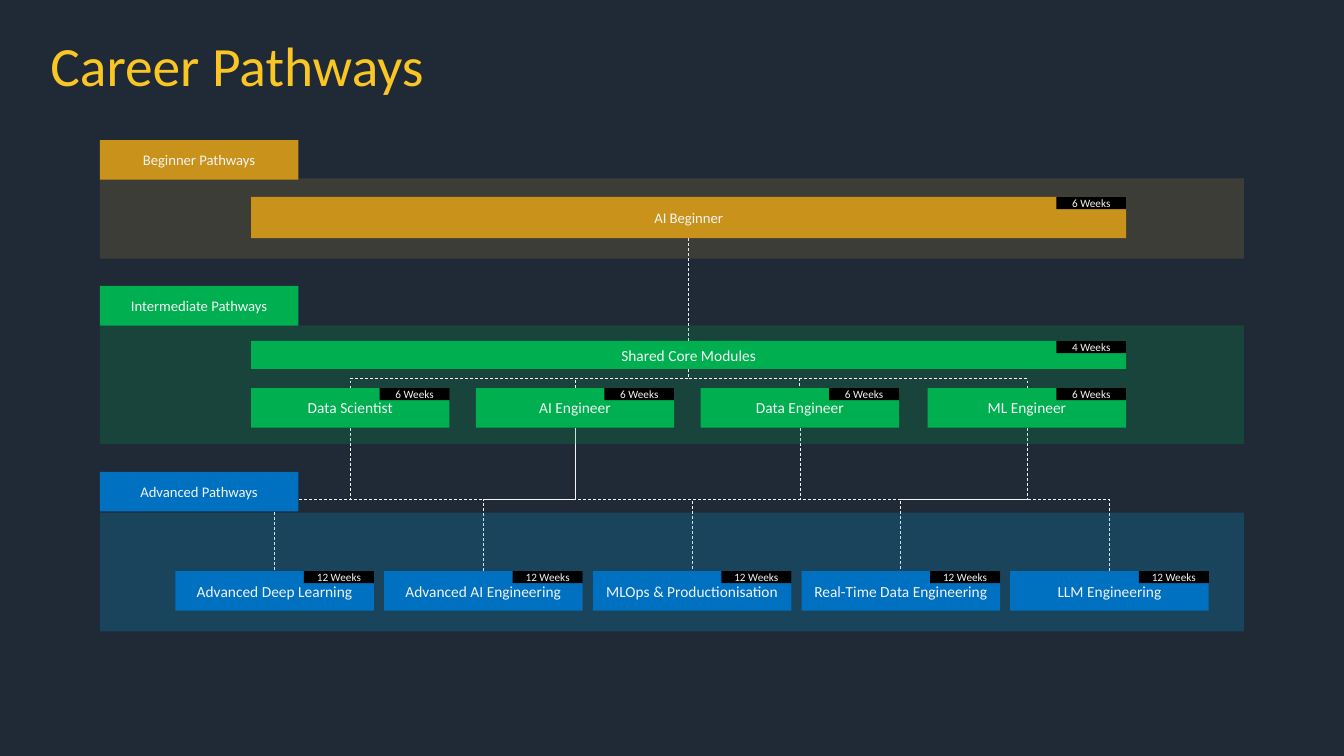
from dataclasses import dataclass

from lxml import etree
from pptx import Presentation
from pptx.dml.color import RGBColor
from pptx.enum.dml import MSO_LINE
from pptx.enum.shapes import MSO_CONNECTOR, MSO_SHAPE
from pptx.enum.text import MSO_ANCHOR, MSO_AUTO_SIZE, PP_ALIGN
from pptx.oxml.ns import qn
from pptx.shapes.autoshape import Shape
from pptx.shapes.connector import Connector
from pptx.util import Emu, Inches, Pt

RECT = MSO_SHAPE.RECTANGLE
STRAIGHT, ELBOW = MSO_CONNECTOR.STRAIGHT, MSO_CONNECTOR.ELBOW
DASH = MSO_LINE.DASH
LEFT, CENTER = PP_ALIGN.LEFT, PP_ALIGN.CENTER
MIDDLE, NO_FIT = MSO_ANCHOR.MIDDLE, MSO_AUTO_SIZE.NONE
TOP, BOTTOM = 0, 2  # connection sites of a rectangle


@dataclass(frozen=True)
class Theme:
    font: str = "Calibri"
    background: str = "202936"
    title: str = "F9C623"
    text: str = "F3F4F5"
    badge: str = "000000"
    title_size: float = 39.6
    card_size: float = 11
    tab_size: float = 10.5
    badge_size: float = 8
    line_width: float = 0.5


@dataclass(frozen=True)
class Level:
    name: str
    color: str
    tint: str
    opacity: int
    tab_y: float
    panel_y: float
    panel_h: float


@dataclass(frozen=True)
class Card:
    name: str
    weeks: int
    level: Level
    x: float
    y: float
    w: float
    h: float
    size: float


THEME = Theme()

# Grid of 100 columns by 100 rows
PANEL_X, PANEL_W = 7.43, 85.12
BOX_W, BOX_H = 14.77, 5.24
BADGE_W, BADGE_H = 5.2, 1.6
BAR_X, BAR_W = 18.68, 65.12
CAREER_Y, SPECIALISM_X, SPECIALISM_STEP, SPECIALISM_Y = 51.33, 13.05, 15.53, 75.55

BEGINNER = Level("Beginner Pathways", "C9921A", "E7B548", 15, 18.53, 23.6, 10.6)
INTERMEDIATE = Level("Intermediate Pathways", "00B050", "00B050", 20, 37.83, 43.03, 15.73)
ADVANCED = Level("Advanced Pathways", "0070C0", "00B0F0", 20, 62.43, 67.8, 15.73)
LEVELS = [BEGINNER, INTERMEDIATE, ADVANCED]

CAREERS = [("Data Scientist", 18.68), ("AI Engineer", 35.4),
           ("Data Engineer", 52.13), ("ML Engineer", 69.03)]
SPECIALISMS = ["Advanced Deep Learning", "Advanced AI Engineering",
               "MLOps & Productionisation", "Real-Time Data Engineering",
               "LLM Engineering"]
CARDS = [
    Card("AI Beginner", 6, BEGINNER, BAR_X, 26.05, BAR_W, 5.45, THEME.tab_size),
    Card("Shared Core Modules", 4, INTERMEDIATE, BAR_X, 45.1, BAR_W, 3.7, THEME.card_size),
    *[Card(name, 6, INTERMEDIATE, x, CAREER_Y, BOX_W, BOX_H, THEME.card_size)
      for name, x in CAREERS],
    *[Card(name, 12, ADVANCED, SPECIALISM_X + i * SPECIALISM_STEP, SPECIALISM_Y,
           BOX_W, BOX_H, THEME.card_size) for i, name in enumerate(SPECIALISMS)],
]
# Begin and end of each elbow between careers and specialisms
ROUTES = [
    ("Data Scientist", "MLOps & Productionisation"),
    ("AI Engineer", "Advanced Deep Learning"),
    ("LLM Engineering", "AI Engineer"),
    ("Data Engineer", "LLM Engineering"),
    ("ML Engineer", "Real-Time Data Engineering"),
    ("Advanced AI Engineering", "AI Engineer"),
]

prs = Presentation()
prs.slide_width, prs.slide_height = Inches(13.333), Inches(7.5)
slide = prs.slides.add_slide(prs.slide_layouts[5])
slide.background.fill.solid()
slide.background.fill.fore_color.rgb = RGBColor.from_string(THEME.background)


def cols(n: float) -> Emu:
    return Emu(round(prs.slide_width * n / 100))


def rows(n: float) -> Emu:
    return Emu(round(prs.slide_height * n / 100))


def write(sp: Shape, text: str, size: float, color: str, align: PP_ALIGN) -> None:
    tf = sp.text_frame
    tf.word_wrap, tf.auto_size, tf.vertical_anchor = True, NO_FIT, MIDDLE
    p = tf.paragraphs[0]
    p.alignment = align
    r = p.add_run()
    r.text = text
    r.font.name, r.font.size = THEME.font, Pt(size)
    r.font.color.rgb = RGBColor.from_string(color)


def add_box(x: float, y: float, w: float, h: float, color: str,
            text: str = "", size: float = THEME.card_size, opacity: int = 100) -> Shape:
    sp = slide.shapes.add_shape(RECT, cols(x), rows(y), cols(w), rows(h))
    sp.shadow.inherit = False
    sp.line.fill.background()
    sp.fill.solid()
    sp.fill.fore_color.rgb = RGBColor.from_string(color)
    if opacity < 100:
        rgb = sp._element.spPr.find(".//" + qn("a:srgbClr"))
        etree.SubElement(rgb, qn("a:alpha"), val=str(opacity * 1000))
    if text:
        tf = sp.text_frame
        tf.margin_left = tf.margin_right = tf.margin_top = tf.margin_bottom = 0
        write(sp, text, size, THEME.text, CENTER)
    return sp


def add_card(card: Card) -> Shape:
    sp = add_box(card.x, card.y, card.w, card.h, card.level.color, card.name, card.size)
    add_box(card.x + card.w - BADGE_W, card.y, BADGE_W, BADGE_H, THEME.badge,
            f"{card.weeks} Weeks", THEME.badge_size)
    return sp


def turn_elbow(c: Connector) -> None:
    """Turn an elbow so that it leaves and arrives vertically."""
    dx, dy = c.end_x - c.begin_x, c.end_y - c.begin_y
    mid_x, mid_y = (c.begin_x + c.end_x) // 2, (c.begin_y + c.end_y) // 2
    c.width, c.height = abs(dy), abs(dx)
    c.left, c.top = mid_x - abs(dy) // 2, mid_y - abs(dx) // 2
    quarter = (dx < 0) == (dy > 0)
    xfrm = c._element.spPr.find(qn("a:xfrm"))
    xfrm.set("rot", "5400000" if quarter else "16200000")
    xfrm.set("flipH", "1" if (dx > 0) else "0")
    xfrm.set("flipV", "1" if (dy < 0) else "0")


def add_link(begin: Shape, end: Shape, kind: MSO_CONNECTOR, above: Shape) -> None:
    """Join two cards, placing the line just above the given shape."""
    down = begin.top < end.top
    c = slide.shapes.add_connector(kind, 0, 0, 0, 0)
    c.begin_connect(begin, BOTTOM if down else TOP)
    c.end_connect(end, TOP if down else BOTTOM)
    if kind == ELBOW:
        turn_elbow(c)
    c.line.color.rgb = RGBColor.from_string(THEME.text)
    c.line.width, c.line.dash_style = Pt(THEME.line_width), DASH
    etree.SubElement(c._element.spPr, qn("a:effectLst"))
    above._element.addnext(c._element)


# Title
title = slide.shapes.title
title.left, title.top, title.width, title.height = cols(3), rows(5.33), cols(93.7), rows(7.6)
write(title, "Career Pathways", THEME.title_size, THEME.title, LEFT)
title.text_frame.paragraphs[0].line_spacing = 0.9

# Level panels and tabs
panels = {lv.name: add_box(PANEL_X, lv.panel_y, PANEL_W, lv.panel_h, lv.tint,
                           opacity=lv.opacity) for lv in LEVELS}
for lv in LEVELS:
    add_box(PANEL_X, lv.tab_y, BOX_W, BOX_H, lv.color, lv.name, THEME.tab_size)

# Cards with their durations
cards = {card.name: add_card(card) for card in CARDS}

# Links behind the cards
core = cards["Shared Core Modules"]
add_link(cards["AI Beginner"], core, STRAIGHT, title)
for career, _ in CAREERS:
    add_link(core, cards[career], ELBOW, panels[INTERMEDIATE.name])
for start, finish in reversed(ROUTES):
    add_link(cards[start], cards[finish], ELBOW, title)

prs.save("out.pptx")
